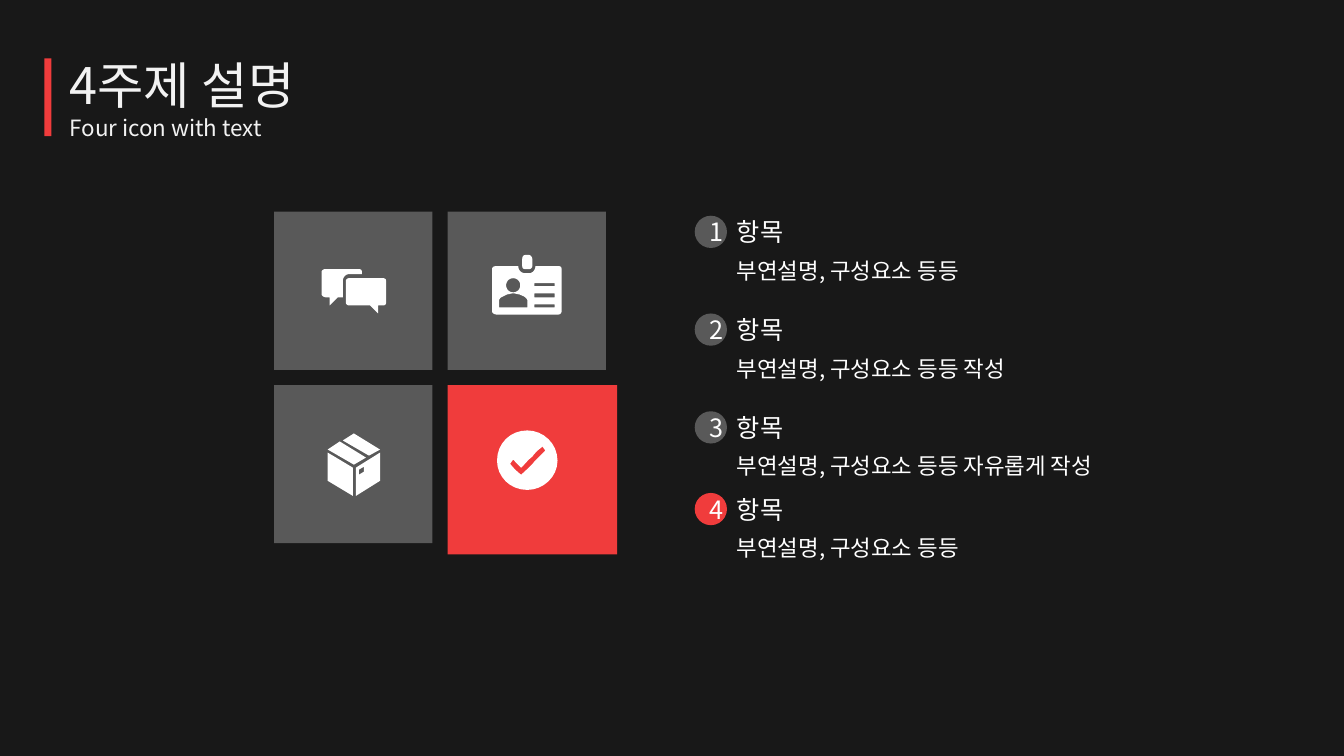
from lxml.etree import SubElement
from pptx import Presentation
from pptx.dml.color import RGBColor
from pptx.enum.shapes import MSO_SHAPE
from pptx.enum.text import MSO_ANCHOR, MSO_AUTO_SIZE, PP_ALIGN
from pptx.oxml.ns import qn
from pptx.util import Inches, Pt

FONT = "Noto Sans CJK KR"
DARK, GRAY, RED, WHITE, PALE = "181818", "595959", "F03C3C", "FFFFFF", "F2F2F2"
CURVE_STEPS = 8

# Outlines in hundredths of an inch: "|" starts a new contour,
# "C" makes the next three points a Bezier curve.
BUBBLES = [
    "346,272 359,272 359,270 C 359,268 358,267 356,267 323,267 C 321,267 319,268 319,270 "
    "319,292 C 319,293 321,295 323,295 327,295 327,303 335,295 340,295 340,279 "
    "C 340,275 343,272 346,272",
    "380,276 346,276 C 345,276 343,277 343,279 343,300 C 343,302 345,303 346,303 367,303 "
    "375,311 375,303 380,303 C 382,303 383,302 383,300 383,279 C 383,277 382,276 380,276",
]
ID_CARD = [
    "525,267 521,267 C 519,267 518,266 518,264 518,257 C 518,255 519,253 521,253 525,253 "
    "C 526,253 528,255 528,257 528,264 C 528,266 526,267 525,267",
    "550,284 530,284 530,281 550,281|550,295 530,295 530,291 550,291|"
    "550,305 530,305 530,302 550,302|"
    "523,305 495,305 495,298 C 495,297 496,296 497,295 C 499,294 501,293 503,292 "
    "C 505,292 507,291 509,291 C 511,291 513,292 515,292 C 517,293 520,294 521,295 "
    "C 522,296 523,297 523,298|"
    "509,276 C 513,276 516,279 516,283 C 516,287 513,290 509,290 C 505,290 502,287 502,283 "
    "C 502,279 505,276 509,276|"
    "554,264 531,264 C 531,268 528,271 525,271 521,271 C 517,271 514,268 514,264 492,264 "
    "C 490,264 488,265 488,267 488,309 C 488,310 490,312 492,312 554,312 "
    "C 556,312 557,310 557,309 557,267 C 557,265 556,264 554,264",
]
BOX = [
    "337,438 325,446 351,461 363,454",
    "377,446 351,430 340,437 366,452",
    "325,452 325,477 350,492 350,464 325,449",
    "361,468 356,471 356,466 361,463|353,464 353,492 377,477 377,449",
]
CHECK = [
    "523,427 C 506,427 493,440 493,457 C 493,473 506,486 523,486 C 539,486 553,473 553,457 "
    "C 553,440 539,427 523,427|"
    "530,458 C 526,463 521,467 517,471 C 513,468 509,464 506,460 509,456 517,464 "
    "C 521,460 524,456 528,453 C 531,449 533,447 537,444 538,443 541,447 "
    "C 537,451 534,454 530,458",
]


def paint(sp, color):
    sp.fill.solid()
    sp.fill.fore_color.rgb = RGBColor.from_string(color)
    sp.line.fill.background()
    sp.shadow.inherit = False


def set_font(p, size, color):
    p.font.size = Pt(size)
    p.font.color.rgb = RGBColor.from_string(color)
    p.font.name = FONT
    SubElement(p._p.pPr.find(qn("a:defRPr")), qn("a:ea"), typeface=FONT)


prs = Presentation()
prs.slide_width, prs.slide_height = Inches(13.33), Inches(7.5)
slide = prs.slides.add_slide(prs.slide_layouts[5])
shapes = slide.shapes
slide.background.fill.solid()
slide.background.fill.fore_color.rgb = RGBColor.from_string(DARK)

# Title with its red bar
title = shapes.title
title.left, title.top, title.width, title.height = (Inches(v) for v in (0.59, 0.48, 2.61, 0.98))
tf = title.text_frame
tf.text = "4주제 설명\nFour icon with text"
tf.word_wrap = False
tf.auto_size = MSO_AUTO_SIZE.SHAPE_TO_FIT_TEXT
tf.vertical_anchor = MSO_ANCHOR.MIDDLE
for p, size in zip(tf.paragraphs, (36, 16)):
    p.alignment = PP_ALIGN.LEFT
    set_font(p, size, PALE)
bar = shapes.add_shape(MSO_SHAPE.RECTANGLE, Inches(0.44), Inches(0.58), Inches(0.07), Inches(0.77))
paint(bar, RED)

# Two-by-two tiles, each with an icon
tiles = [(BUBBLES, GRAY, 1.57), (ID_CARD, GRAY, 1.57), (BOX, GRAY, 1.57), (CHECK, RED, 1.68)]
for i, (icon, color, side) in enumerate(tiles):
    row, col = divmod(i, 2)
    tile = shapes.add_shape(MSO_SHAPE.RECTANGLE, Inches(2.72 + 1.72 * col),
                            Inches(2.1 + 1.72 * row), Inches(side), Inches(side))
    paint(tile, color)
    group = shapes.add_group_shape()
    for outline in icon:
        builder = None
        for contour in outline.split("|"):
            points, controls, curve_left = [], [], 0
            for token in contour.split():
                if token == "C":
                    controls, curve_left = [points[-1]], 3
                    continue
                point = tuple(Inches(int(v) / 100) for v in token.split(","))
                if not curve_left:
                    points.append(point)
                    continue
                controls.append(point)
                curve_left -= 1
                if not curve_left:
                    for step in range(1, CURVE_STEPS + 1):
                        t = step / CURVE_STEPS
                        weights = ((1 - t) ** 3, 3 * t * (1 - t) ** 2, 3 * t * t * (1 - t), t ** 3)
                        points.append(tuple(sum(w * c[axis] for w, c in zip(weights, controls))
                                            for axis in (0, 1)))
            if builder is None:
                builder = group.shapes.build_freeform(*points[0], scale=1.0)
            else:
                builder.move_to(*points[0])
            builder.add_line_segments(points[1:], close=True)
        paint(builder.convert_to_shape(), WHITE)

# Numbered items
items = [
    (2.1, "부연설명, 구성요소 등등", 2.56, GRAY),
    (3.07, "부연설명, 구성요소 등등 작성", 3.05, GRAY),
    (4.04, "부연설명, 구성요소 등등 자유롭게 작성", 3.99, GRAY),
    (4.85, "부연설명, 구성요소 등등", 2.56, RED),
]
for number, (top, detail, detail_width, color) in enumerate(items, 1):
    for text, y, width, height, size in (("항목", top, 0.69, 0.4, 18),
                                         (detail, top + 0.4, detail_width, 0.37, 16)):
        box = shapes.add_textbox(Inches(7.21), Inches(y), Inches(width), Inches(height))
        tf = box.text_frame
        tf.text = text
        tf.word_wrap = False
        tf.auto_size = MSO_AUTO_SIZE.SHAPE_TO_FIT_TEXT
        set_font(tf.paragraphs[0], size, WHITE)
    badge = shapes.add_shape(MSO_SHAPE.OVAL, Inches(6.89), Inches(top + 0.04),
                             Inches(0.32), Inches(0.32))
    paint(badge, color)
    tf = badge.text_frame
    tf.text = str(number)
    tf.vertical_anchor = MSO_ANCHOR.MIDDLE
    p = tf.paragraphs[0]
    p.alignment = PP_ALIGN.CENTER
    set_font(p, 18, WHITE)

prs.save("out.pptx")
